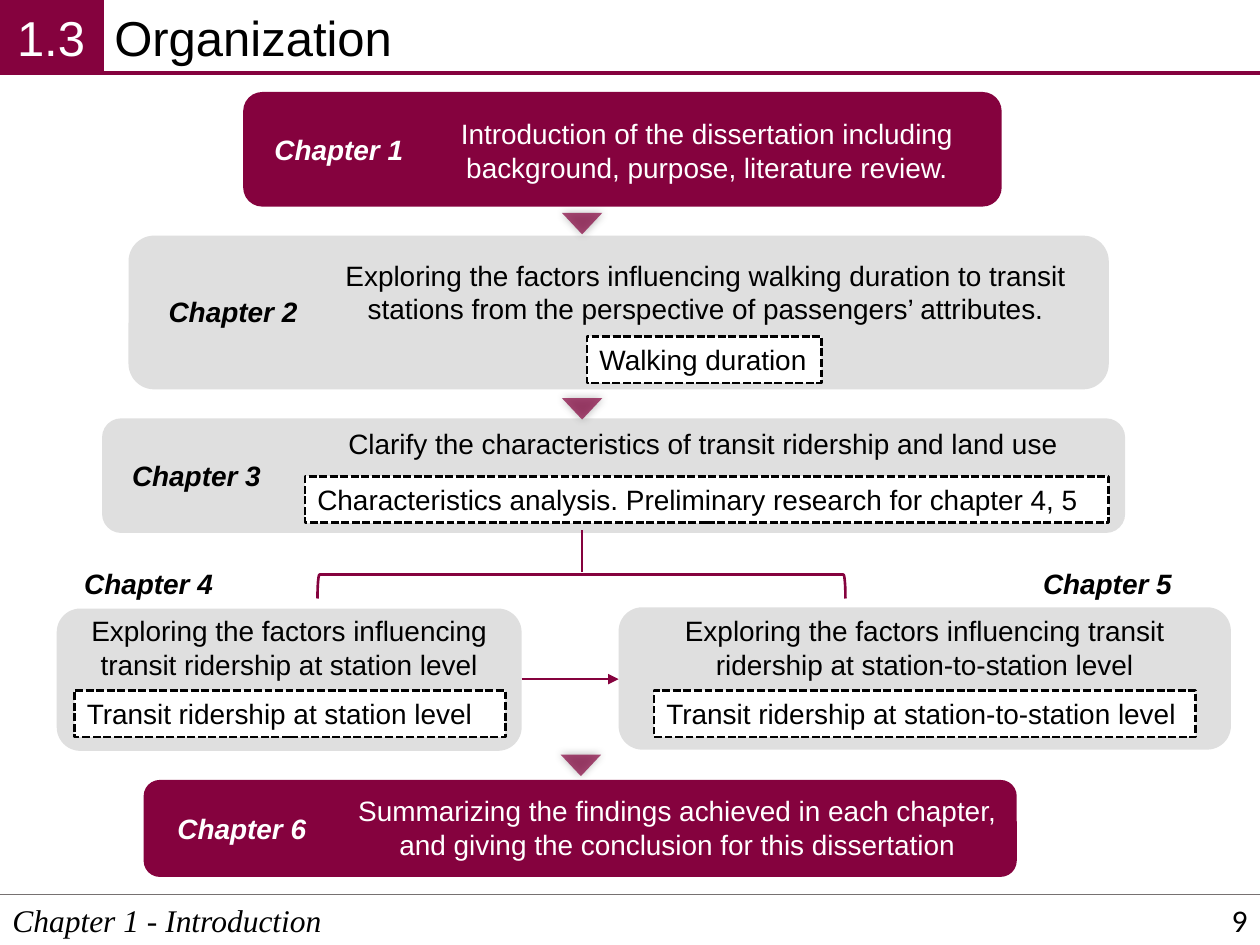
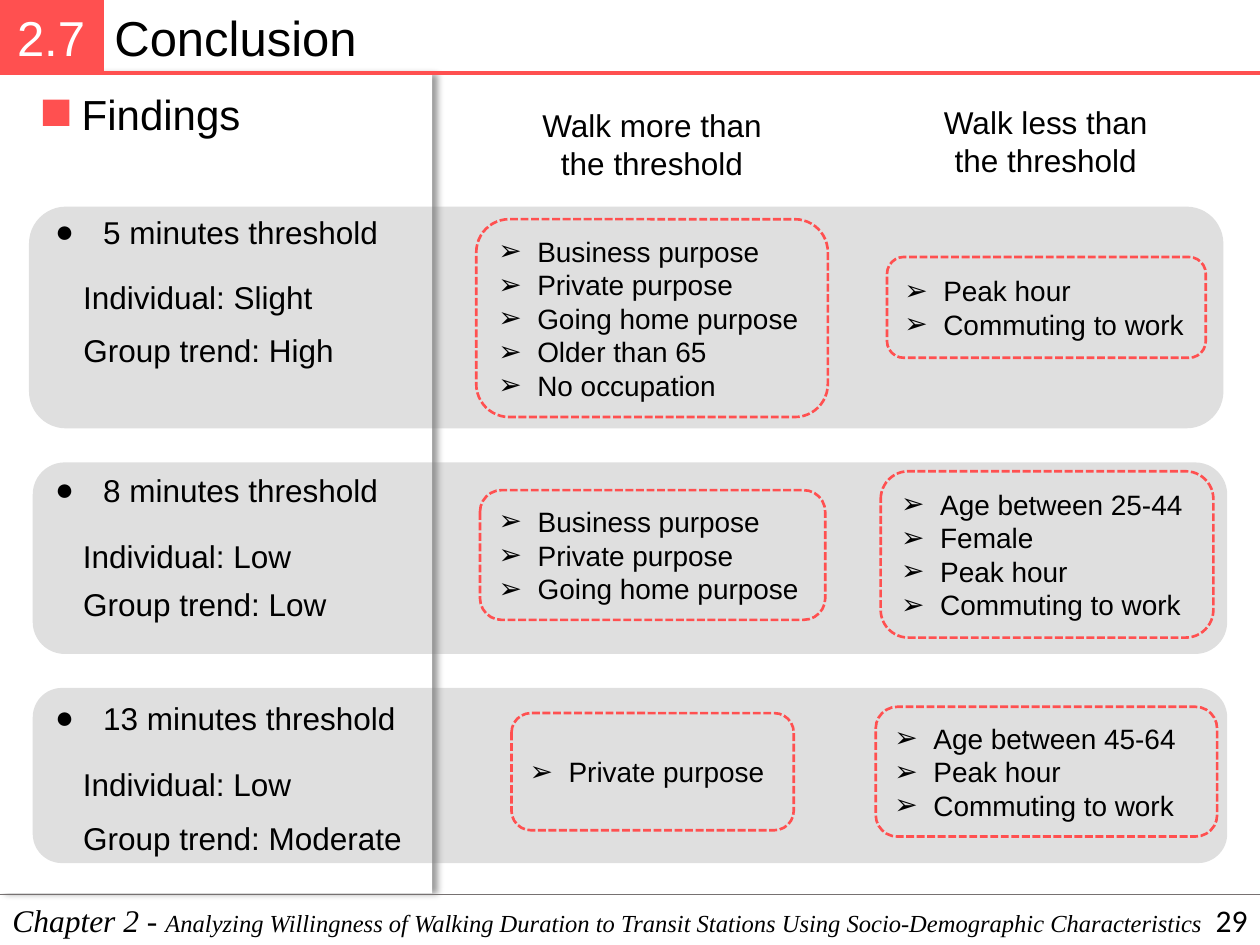
from lxml.etree import SubElement
from pptx import Presentation
from pptx.dml.color import RGBColor
from pptx.enum.dml import MSO_LINE
from pptx.enum.shapes import MSO_CONNECTOR, MSO_SHAPE
from pptx.enum.text import MSO_ANCHOR, PP_ALIGN
from pptx.oxml.ns import qn
from pptx.util import Pt

SCALE = 9144  # EMU in one px, 100 px to the inch
COLORS = {"wine": "85023E", "coral": "FF5050", "white": "FFFFFF",
          "black": "000000", "gray": "808080", "rule": "767171"}
CENTER, RIGHT = PP_ALIGN.CENTER, PP_ALIGN.RIGHT


def px(*vals):
    return [val * SCALE for val in vals]


def rgb(name):
    return RGBColor.from_string(COLORS[name])


# Text
def style(run, size, color="black", font="Arial", bold=False, italic=False):
    run.font.size = Pt(size)
    run.font.name = font
    run.font.color.rgb = rgb(color)
    run.font.bold = bold
    run.font.italic = italic


def bullet(para, sign, indent):
    props = para._p.get_or_add_pPr()
    props.set("marL", str(indent * SCALE))
    props.set("indent", str(-indent * SCALE))
    SubElement(props, qn("a:buFont")).set("typeface", "Arial")
    SubElement(props, qn("a:buChar")).set("char", sign)


def write(shape, text, size=16, align=PP_ALIGN.LEFT, anchor=MSO_ANCHOR.TOP,
          wrap=True, sign=None, indent=0, **look):
    frame = shape.text_frame
    frame.text = text
    frame.word_wrap = wrap
    frame.vertical_anchor = anchor
    for para in frame.paragraphs:
        para.alignment = align
        if sign:
            bullet(para, sign, indent)
        for run in para.runs:
            style(run, size, **look)
    return frame


def label(slide, area, text, **look):
    return write(slide.shapes.add_textbox(*px(*area)), text, **look)


# Shapes and lines
def block(slide, kind, area, fill=None, alpha=None, line=None, width=1.5, dash=False):
    shape = slide.shapes.add_shape(kind, *px(*area))
    shape.shadow.inherit = False
    if fill:
        shape.fill.solid()
        shape.fill.fore_color.rgb = rgb(fill)
    else:
        shape.fill.background()
    if alpha:
        tint = shape._element.spPr.find(qn("a:solidFill"))[0]
        SubElement(tint, qn("a:alpha")).set("val", str(alpha * 1000))
    if line:
        shape.line.color.rgb = rgb(line)
        shape.line.width = Pt(width)
        if dash:
            shape.line.dash_style = MSO_LINE.SQUARE_DOT
    else:
        shape.line.fill.background()
    return shape


def shade(shape, blur, dist):
    effects = shape._element.spPr.find(qn("a:effectLst"))
    outer = SubElement(effects, qn("a:outerShdw"), blurRad=str(Pt(blur)),
                       dist=str(Pt(dist)), dir="0", algn="ctr", rotWithShape="0")
    tint = SubElement(outer, qn("a:srgbClr"), val=COLORS["black"])
    SubElement(tint, qn("a:alpha"), val="40000")


def rule(slide, ends, color, width, arrow=False):
    line = slide.shapes.add_connector(MSO_CONNECTOR.STRAIGHT, *px(*ends))
    line.line.color.rgb = rgb(color)
    line.line.width = Pt(width)
    props = line._element.spPr
    if arrow:
        SubElement(props.find(qn("a:ln")), qn("a:tailEnd")).set("type", "triangle")
    SubElement(props, qn("a:effectLst"))


def band(slide, area):
    block(slide, MSO_SHAPE.ROUNDED_RECTANGLE, area, "gray", alpha=25)


# Header and footer of each slide
def base(slide, number, title, color, foot, page, topic=""):
    frame = label(slide, (0, 710, 1000, 40), foot, size=18,
                  font="Times New Roman", italic=True)
    if topic:
        run = frame.paragraphs[0].add_run()
        run.text = topic
        style(run, 14, font="Times New Roman", italic=True)
    rule(slide, (0, 710, 1000, 710), "rule", 1)
    label(slide, (81, 1, 919, 57), title, size=28)
    tag = block(slide, MSO_SHAPE.RECTANGLE, (0, 0, 81, 58), color, line=color, width=2.25)
    frame = write(tag, number, size=28, color="white", align=CENTER, anchor=MSO_ANCHOR.MIDDLE)
    frame.margin_left = frame.margin_right = 6 * SCALE
    frame.margin_top = frame.margin_bottom = 6 * SCALE
    rule(slide, (81, 58, 1000, 58), color, 2.25)
    label(slide, (775, 710, 225, 40), page, size=18, font="Calibri",
          align=RIGHT, anchor=MSO_ANCHOR.MIDDLE)


# Organization: chapter cards and arrows
def card(slide, number, area, name, body, text, dark=False, note=None, topic="", wrap=False):
    ink = "white" if dark else "black"
    if dark:
        block(slide, MSO_SHAPE.ROUNDED_RECTANGLE, area, "wine")
    else:
        band(slide, area)
    label(slide, (*name, 124, 37), f"Chapter {number}", color=ink,
          bold=True, italic=True, wrap=False)
    if note:
        frame = block(slide, MSO_SHAPE.RECTANGLE, (*note, 37), "white", line="black", dash=True)
        write(frame, topic, wrap=wrap)
    label(slide, (*body, 64), text, color=ink, align=CENTER)


def arrow(slide, left, top):
    shape = block(slide, MSO_SHAPE.ISOSCELES_TRIANGLE, (left, top, 32, 17), "wine", alpha=70)
    shape.rotation = 180
    shade(shape, 5, 0)


def plan(slide):
    base(slide, "1.3", "Organization", "wine", "Chapter 1 - Introduction", "9")
    for left, top in ((446, 169), (446, 316), (445, 599)):
        arrow(slide, left, top)
    card(slide, 1, (193, 73, 602, 91), (208, 100), (327, 88, 468),
         "Introduction of the dissertation including background, purpose, literature review.",
         dark=True)
    card(slide, 2, (102, 187, 778, 122), (124, 229), (239, 200, 642),
         "Exploring the factors influencing walking duration to transit stations "
         "from the perspective of passengers’ attributes.",
         note=(466, 267, 186), topic="Walking duration")
    card(slide, 3, (81, 332, 812, 91), (95, 359), (230, 334, 662),
         "Clarify the characteristics of transit ridership and land use ",
         note=(242, 378, 638), wrap=True,
         topic="Characteristics analysis. Preliminary research for chapter 4, 5")
    card(slide, 6, (114, 619, 693, 77), (131, 639), (268, 625, 539),
         "Summarizing the findings achieved in each chapter, "
         "and giving the conclusion for this dissertation", dark=True)
    card(slide, 4, (45, 483, 369, 113), (57, 445), (45, 482, 369),
         "Exploring the factors influencing transit ridership at station level",
         note=(59, 548, 342), topic="Transit ridership at station level")
    card(slide, 5, (491, 482, 486, 113), (818, 445), (491, 482, 486),
         "Exploring the factors influencing transit ridership at station-to-station level",
         note=(519, 548, 430), topic="Transit ridership at station-to-station level")
    # Fork from chapter 3 to chapters 4 and 5
    fork = block(slide, MSO_SHAPE.LEFT_BRACKET, (452, 256, 19, 419), line="wine")
    fork.rotation = 90
    rule(slide, (462, 421, 462, 454), "wine", 1.5)
    rule(slide, (414, 539, 491, 539), "wine", 1.5, arrow=True)


# Conclusion: one row for each threshold
def group(slide, area, items):
    shape = block(slide, MSO_SHAPE.ROUNDED_RECTANGLE, area, line="coral", dash=True)
    write(shape, "\n".join(items), anchor=MSO_ANCHOR.MIDDLE, sign="➢", indent=31)


def trend(slide, top, time, lone, crowd, drop):
    label(slide, (34, top, 297, 40), f"{time} minutes threshold", size=18, sign="●", indent=38)
    for text, width, shift in ((f"Individual: {lone[0]}", lone[1], 52),
                               (f"Group trend: {crowd[0]}", crowd[1], drop)):
        label(slide, (55, top + shift, width, 40), text, size=18, align=CENTER, wrap=False)


def finish(slide):
    panel = block(slide, MSO_SHAPE.RECTANGLE, (0, 59, 343, 650), "white")
    shade(panel, 4, 3)
    for area in ((26, 546, 948, 139), (26, 367, 948, 152), (23, 164, 948, 176)):
        band(slide, area)
    base(slide, "2.7", "Conclusion", "coral", "Chapter 2 - ", "29",
         "Analyzing Willingness of Walking Duration to Transit Stations "
         "Using Socio-Demographic Characteristics")
    block(slide, MSO_SHAPE.RECTANGLE, (34, 79, 21, 21), "coral")
    label(slide, (55, 65, 148, 50), "Findings", size=24, wrap=False)
    # Column heads
    label(slide, (404, 79, 227, 71), "Walk more than the threshold", size=18, align=CENTER)
    label(slide, (726, 77, 208, 71), "Walk less than the threshold", size=18, align=CENTER)
    # Groups that walk more, then less
    trips = ["Business purpose", "Private purpose", "Going home purpose"]
    rush = ["Peak hour", "Commuting to work"]
    group(slide, (378, 174, 279, 157), trips + ["Older than 65", "No occupation"])
    group(slide, (381, 389, 274, 103), trips)
    group(slide, (406, 566, 224, 93), trips[1:2])
    group(slide, (704, 204, 253, 80), rush)
    group(slide, (699, 374, 264, 132), ["Age between 25-44", "Female"] + rush)
    group(slide, (695, 561, 271, 103), ["Age between 45-64"] + rush)
    # Trends
    trend(slide, 164, 5, ("Slight", 204), ("High", 221), 94)
    trend(slide, 369, 8, ("Low", 187), ("Low", 215), 90)
    trend(slide, 550, 13, ("Low", 187), ("Moderate", 275), 95)


def main():
    deck = Presentation()
    deck.slide_width, deck.slide_height = px(1000, 750)
    for draw in (plan, finish):
        draw(deck.slides.add_slide(deck.slide_layouts[6]))
    deck.save("out.pptx")


if __name__ == "__main__":
    main()
